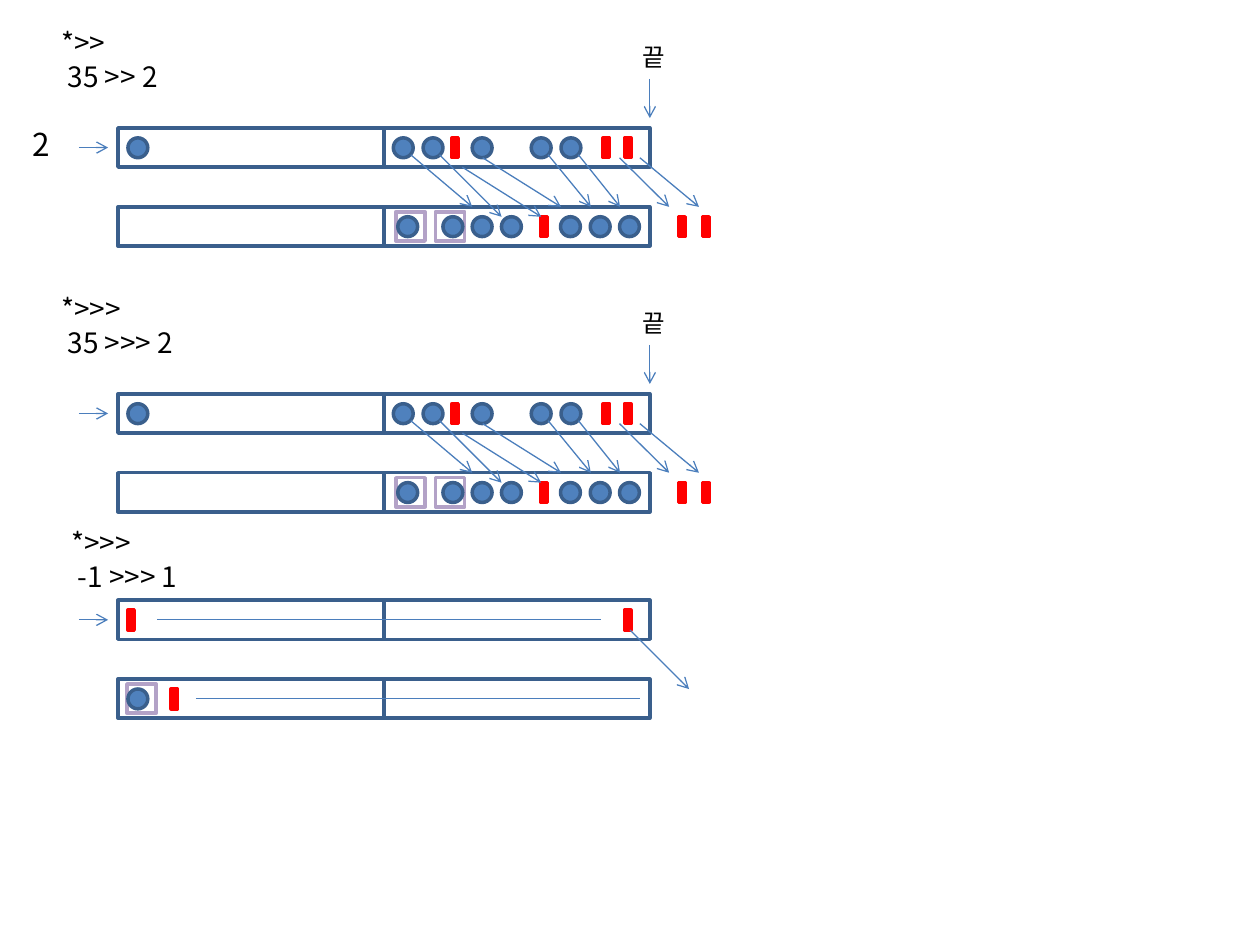
from lxml import etree
from pptx import Presentation
from pptx.dml.color import RGBColor
from pptx.enum.shapes import MSO_CONNECTOR, MSO_SHAPE
from pptx.enum.text import MSO_AUTO_SIZE
from pptx.oxml.ns import qn
from pptx.util import Cm, Pt

RECT, OVAL = MSO_SHAPE.RECTANGLE, MSO_SHAPE.OVAL
STRAIGHT = MSO_CONNECTOR.STRAIGHT
FRAME_FORMAT = {"word_wrap": False, "auto_size": MSO_AUTO_SIZE.SHAPE_TO_FIT_TEXT}
FONT = "Noto Sans CJK KR"

NAVY, BLUE, RED, PURPLE, LINE = "3A5F8C", "4F81BD", "FF0000", "B3A2C7", "4B7EBC"

# Register geometry in cm
LEFT, HALF_W, REG_H, ROW_STEP = 2.38, 5.36, 0.79, 1.59
MARK, BIT_W, FRAME, PAD = 0.4, 0.13, 0.59, 0.2
MID = REG_H / 2

# Mark positions, from the left edge of the register
ROW_BEFORE = {"zeros": [0.2, 5.55, 6.15, 7.14, 8.33, 8.93], "ones": [6.73, 9.78, 10.21]}
ROW_AFTER = {"zeros": [5.64, 6.55, 7.14, 7.73, 8.92, 9.52, 10.11],
             "ones": [8.53, 11.3, 11.78], "frames": [5.6, 6.4]}
MOVES = [
    (5.9, 0.54, 7.14, 1.59), (6.48, 0.54, 7.73, 1.79),
    (6.94, 0.79, 8.53, 1.79), (7.35, 0.6, 8.93, 1.59),
    (8.67, 0.54, 9.53, 1.59), (9.28, 0.54, 10.12, 1.59),
    (10.11, 0.6, 11.11, 1.59), (10.52, 0.6, 11.71, 1.59),
]


def color(value):
    return RGBColor.from_string(value)


def add_mark(s, kind, x, y, w, h, fill, line):
    sp = s.shapes.add_shape(kind, Cm(x), Cm(y), Cm(w), Cm(h))
    sp.shadow.inherit = False
    if fill:
        sp.fill.solid()
        sp.fill.fore_color.rgb = color(fill)
    else:
        sp.fill.background()
    sp.line.color.rgb = color(line)
    sp.line.width = Pt(2)


def add_line(s, x, y, x1, y1, x2, y2, arrow=True):
    cx = s.shapes.add_connector(STRAIGHT, Cm(x + x1), Cm(y + y1), Cm(x + x2), Cm(y + y2))
    cx.line.color.rgb = color(LINE)
    cx.line.width = Pt(0.75)
    if arrow:
        etree.SubElement(cx.line._get_or_add_ln(), qn("a:tailEnd"), type="arrow")
    etree.SubElement(cx._element.spPr, qn("a:effectLst"))


def add_text(s, x, y, w, h, lines, size):
    tf = s.shapes.add_textbox(Cm(x), Cm(y), Cm(w), Cm(h)).text_frame
    for name, value in FRAME_FORMAT.items():
        setattr(tf, name, value)
    for i, line in enumerate(lines):
        p = tf.paragraphs[0] if i == 0 else tf.add_paragraph()
        r = p.add_run()
        r.text = line
        for name, value in {"size": Pt(size), "name": FONT}.items():
            setattr(r.font, name, value)
        r.font.color.rgb = color("000000")
        etree.SubElement(r.font._element, qn("a:ea"), typeface=FONT)


def add_register(s, x, y, zeros=(), ones=(), frames=()):
    """One row: two halves, then the bits it holds."""
    for half in range(2):
        add_mark(s, RECT, x + half * HALF_W, y, HALF_W, REG_H, None, NAVY)
    for dx in frames:
        add_mark(s, RECT, x + dx, y + (REG_H - FRAME) / 2, FRAME, FRAME, None, PURPLE)
    for dx in zeros:
        add_mark(s, OVAL, x + dx, y + PAD, MARK, MARK, BLUE, NAVY)
    for dx in ones:
        add_mark(s, RECT, x + dx, y + PAD, BIT_W, MARK, RED, RED)


def add_pair(s, x, y, before, after):
    """Registers before and after the shift, with the pointer at the left."""
    add_register(s, x, y, **before)
    add_register(s, x, y + ROW_STEP, **after)
    add_line(s, x, y, -0.79, MID, -0.2, MID)


def shift_by_two(s, x, y, lines, title_w):
    add_text(s, x - 1.39, y - 2.18, title_w, 1.63, lines, 16)
    add_pair(s, x, y, ROW_BEFORE, ROW_AFTER)
    for move in MOVES:
        add_line(s, x, y, *move)
    # End marker
    end = 2 * HALF_W
    add_text(s, x + end - 0.4, y - 1.85, 1.02, 0.86, ["끝"], 14)
    add_line(s, x, y, end, -0.99, end, -0.2)


def shift_minus_one(s, x, y, lines, title_w):
    add_text(s, x - 1.19, y - 1.63, title_w, 1.63, lines, 16)
    add_pair(s, x, y, {"ones": [0.2, 10.21]},
             {"zeros": [0.2], "ones": [1.07], "frames": [0.18]})
    # Runs of repeated ones
    add_line(s, x, y, 0.79, MID, 9.73, MID, arrow=False)
    add_line(s, x, y + ROW_STEP, 1.57, MID, 10.52, MID, arrow=False)
    # Bit that drops off the end
    add_line(s, x, y, 10.32, 0.6, 11.51, 1.79)


def main():
    prs = Presentation()
    prs.slide_width, prs.slide_height = Cm(25.4), Cm(19.05)
    s = prs.slides.add_slide(prs.slide_layouts[6])
    add_text(s, 0.41, 2.39, 0.86, 1.02, ["2"], 18)
    shift_by_two(s, LEFT, 2.58, ["*>>", " 35 >> 2"], 2.87)
    shift_by_two(s, LEFT, 7.94, ["*>>>", " 35 >>> 2"], 3.28)
    shift_minus_one(s, LEFT, 12.1, ["*>>>", " -1 >>> 1"], 3.18)
    prs.save("out.pptx")


if __name__ == "__main__":
    main()
